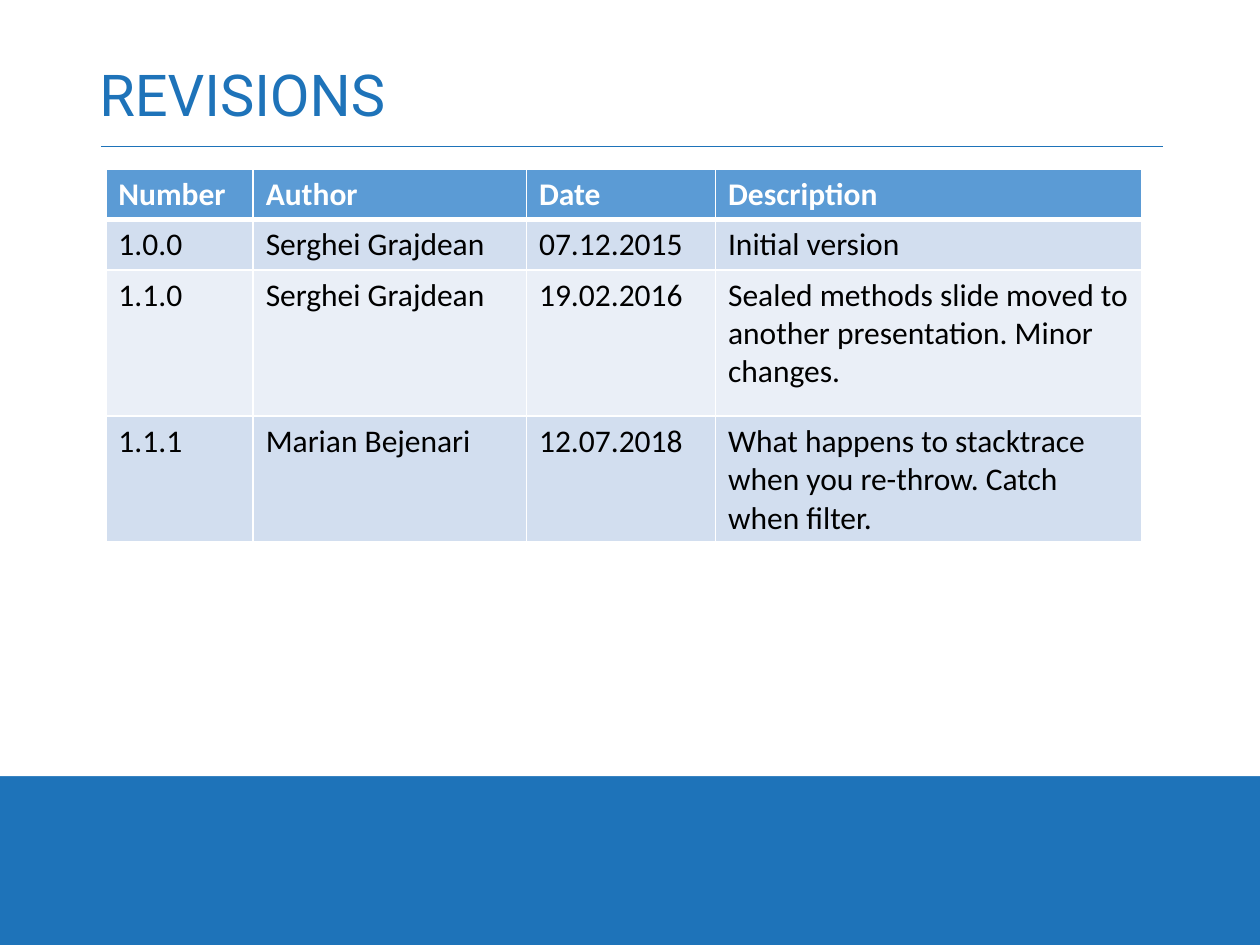
from dataclasses import dataclass

from lxml.etree import SubElement
from pptx import Presentation
from pptx.dml.color import RGBColor as Color
from pptx.enum.shapes import MSO_CONNECTOR as Connector, MSO_SHAPE as Preset
from pptx.enum.text import MSO_ANCHOR as Anchor
from pptx.oxml.ns import qn
from pptx.util import Pt


@dataclass(frozen=True)
class Theme:
    """Colours, fonts and type sizes of the slide."""

    blue: str = "1E73B9"
    white: str = "FFFFFF"
    black: str = "000000"
    header: str = "5B9BD5"
    bands: tuple = ("D2DEEF", "EAEFF7")
    title_font: str = "Roboto"
    body_font: str = "Calibri"
    title_size: float = 33
    body_size: float = 18


THEME = Theme()
COLUMN_WIDTHS = (84.2, 156.2, 108, 243.4)
ROW_HEIGHTS = (27.4, 27.4, 83.5, 27.4)
REVISIONS = (
    ("Number", "Author", "Date", "Description"),
    ("1.0.0", "Serghei Grajdean", "07.12.2015", "Initial version"),
    ("1.1.0", "Serghei Grajdean", "19.02.2016",
     "Sealed methods slide moved to another presentation. Minor changes."),
    ("1.1.1", "Marian Bejenari", "12.07.2018",
     "What happens to stacktrace when you re-throw. Catch when filter."),
)


def write_text(frame, text, *, font, size, color, bold=False, spacing=None):
    """Write one formatted paragraph into a text frame."""
    frame.word_wrap = True
    para = frame.paragraphs[0]
    para.line_spacing = spacing
    span = para.add_run()
    span.text = text
    span.font.name = font
    span.font.size = Pt(size)
    span.font.bold = bold
    span.font.color.rgb = Color.from_string(color)


def add_panel(page, left, top, width, height, color):
    """Add a plain filled rectangle."""
    panel = page.shapes.add_shape(
        Preset.RECTANGLE, Pt(left), Pt(top), Pt(width), Pt(height))
    panel.shadow.inherit = False
    panel.fill.solid()
    panel.fill.fore_color.rgb = Color.from_string(color)
    panel.line.fill.background()


def add_rule(page, left, right, top):
    """Add the thin horizontal line under the title."""
    rule = page.shapes.add_connector(
        Connector.STRAIGHT, Pt(left), Pt(top), Pt(right), Pt(top))
    rule.line.width = Pt(0.5)
    rule.line.color.rgb = Color.from_string(THEME.blue)
    SubElement(rule._element.spPr, qn("a:effectLst"))


def add_title(page, text, left, top, width, height):
    """Add the slide title, centred vertically in its box."""
    box = page.shapes.add_textbox(Pt(left), Pt(top), Pt(width), Pt(height))
    box.text_frame.vertical_anchor = Anchor.MIDDLE
    write_text(box.text_frame, text, font=THEME.title_font,
               size=THEME.title_size, color=THEME.blue, spacing=0.9)


def set_borders(cell, **widths):
    """Draw white cell borders, given in the order L, R, T, B."""
    properties = cell._tc.get_or_add_tcPr()
    for index, (side, width) in enumerate(widths.items()):
        line = SubElement(properties, qn(f"a:ln{side}"), w=str(Pt(width)))
        fill = SubElement(line, qn("a:solidFill"))
        SubElement(fill, qn("a:srgbClr"), val=THEME.white)
        properties.insert(index, line)


def add_table(page, rows, left, top):
    """Add the revision table with a header and banded rows."""
    table = page.shapes.add_table(
        len(rows), len(COLUMN_WIDTHS), Pt(left), Pt(top),
        Pt(sum(COLUMN_WIDTHS)), Pt(sum(ROW_HEIGHTS))).table
    for column, width in zip(table.columns, COLUMN_WIDTHS):
        column.width = Pt(width)
    for number, (row, height, texts) in enumerate(
            zip(table.rows, ROW_HEIGHTS, rows)):
        row.height = Pt(height)
        header = number == 0
        color = THEME.header if header else THEME.bands[(number - 1) % 2]
        for cell, text in zip(row.cells, texts):
            cell.fill.solid()
            cell.fill.fore_color.rgb = Color.from_string(color)
            set_borders(cell, L=1, R=1, T=3 if number == 1 else 1,
                        B=3 if header else 1)
            write_text(cell.text_frame, text, font=THEME.body_font,
                       size=THEME.body_size, bold=header,
                       color=THEME.white if header else THEME.black)


def main():
    """Build and save the revisions slide."""
    deck = Presentation()
    deck.slide_width, deck.slide_height = Pt(720), Pt(540)
    page = deck.slides.add_slide(deck.slide_layouts[6])
    page.background.fill.solid()
    page.background.fill.fore_color.rgb = Color.from_string(THEME.blue)
    add_panel(page, 0, 0, 720, 443.5, THEME.white)
    add_rule(page, 57.6, 664.6, 83.5)
    add_title(page, "REVISIONS", 49.7, 28.8, 620.6, 54.7)
    add_table(page, REVISIONS, 60.5, 96.5)
    deck.save("out.pptx")


if __name__ == "__main__":
    main()
